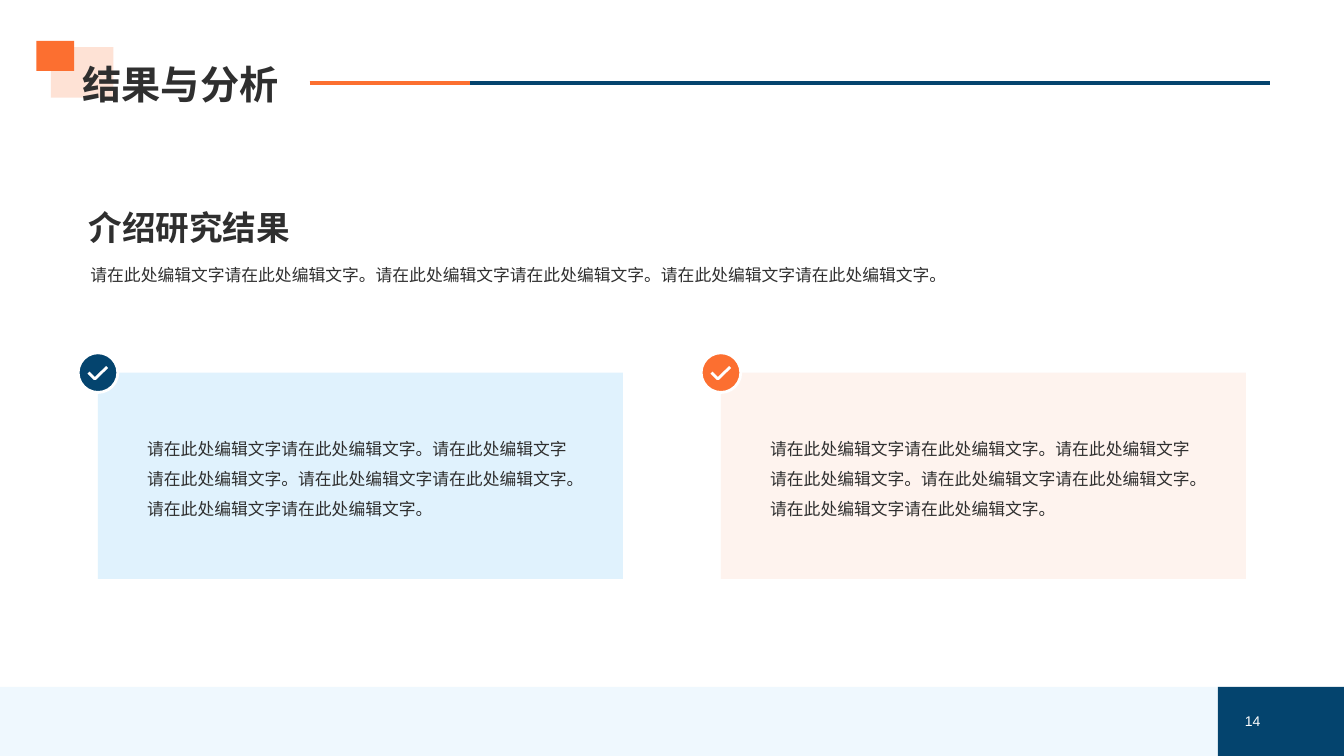
import dataclasses

import lxml.etree
import pptx
import pptx.dml.color
import pptx.enum.shapes
import pptx.enum.text
import pptx.oxml.ns
import pptx.util

Cm = pptx.util.Cm
Pt = pptx.util.Pt
qn = pptx.oxml.ns.qn
SHAPE = pptx.enum.shapes.MSO_SHAPE
ANCHOR = pptx.enum.text.MSO_ANCHOR
ALIGN = pptx.enum.text.PP_ALIGN


@dataclasses.dataclass(frozen=True)
class Theme:
    font: str = "Arial"
    ink: str = "2F2F2F"
    white: str = "FFFFFF"
    navy: str = "04446E"
    orange: str = "FC6F30"
    sky: str = "B3DFFC"
    peach: str = "FEE2D6"
    title: int = 28
    heading: int = 24
    body: int = 12
    number: int = 10
    rule: int = 3
    outline: int = 2


@dataclasses.dataclass(frozen=True)
class Box:
    left: float
    top: float
    width: float
    height: float

    def inner(self, left, top, width, height):
        return Box(self.left + left, self.top + top, width, height)

    def lengths(self):
        return Cm(self.left), Cm(self.top), Cm(self.width), Cm(self.height)


THEME = Theme()
PAGE = Box(0, 0, 33.87, 19.05)
SENTENCE = "请在此处编辑文字请在此处编辑文字。"


def rgb(color):
    return pptx.dml.color.RGBColor.from_string(color)


def add_block(page, box, color, opacity=100, kind=SHAPE.RECTANGLE):
    block = page.shapes.add_shape(kind, *box.lengths())
    block.shadow.inherit = False
    block.fill.solid()
    block.fill.fore_color.rgb = rgb(color)
    block.line.fill.background()
    if opacity < 100:
        tint = block.fill._xPr.find(qn("a:solidFill"))[0]
        lxml.etree.SubElement(tint, qn("a:alpha")).set("val", str(opacity * 1000))
    return block


def add_rule(page, left, right, height, color):
    rule = page.shapes.add_connector(
        pptx.enum.shapes.MSO_CONNECTOR.STRAIGHT,
        Cm(left), Cm(height), Cm(right), Cm(height),
    )
    rule.line.color.rgb = rgb(color)
    rule.line.width = Pt(THEME.rule)
    lxml.etree.SubElement(rule._element.spPr, qn("a:effectLst"))


def format_text(frame, text, size, color=THEME.ink, bold=False, spacing=1.0,
                anchor=ANCHOR.MIDDLE, align=ALIGN.LEFT):
    frame.text = text
    frame.word_wrap = True
    frame.vertical_anchor = anchor
    for para in frame.paragraphs:
        para.alignment = align
        para.line_spacing = spacing
        for span in para.runs:
            span.font.name = THEME.font
            span.font.size = Pt(size)
            span.font.bold = bold
            span.font.color.rgb = rgb(color)
            east = lxml.etree.SubElement(span.font._element, qn("a:ea"))
            east.set("typeface", THEME.font)


def add_text(page, box, text, size, inset=None, **style):
    frame = page.shapes.add_textbox(*box.lengths()).text_frame
    format_text(frame, text, size, **style)
    if inset is not None:
        frame.margin_left = frame.margin_right = Cm(inset)
        frame.margin_top = frame.margin_bottom = Cm(inset)


def build_header(page, box, text):
    add_block(page, box.inner(1.28, 1.19, 1.58, 1.27), THEME.orange, 20)
    add_rule(page, box.left + 11.85, box.left + 32, box.top + 2.09, THEME.navy)
    add_rule(page, box.left + 7.8, box.left + 11.85, box.top + 2.09, THEME.orange)
    add_block(page, box.inner(0.92, 1.03, 0.95, 0.76), THEME.orange)
    title = page.shapes.title
    title.left, title.top, title.width, title.height = box.inner(1.83, 0, 30.18, 2.84).lengths()
    format_text(title.text_frame, text, THEME.title, bold=True, spacing=0.9,
                anchor=ANCHOR.BOTTOM)
    page.shapes._spTree.append(title._element)


def build_footer(page, box, number):
    corner = 3.18
    band = box.width - corner
    add_block(page, box.inner(0, 0, band, box.height), THEME.sky, 20)
    add_block(page, box.inner(band, 0, corner, box.height), THEME.navy)
    add_text(page, box.inner(24.61, 0.55, 7.4, 0.6), number, THEME.number,
             color=THEME.white, align=ALIGN.RIGHT)


def build_intro(page, box, heading, text):
    add_text(page, box.inner(0, 0, 12.34, 1.28), heading, THEME.heading, bold=True)
    add_text(page, box.inner(0, 1.17, box.width, 1.22), text, THEME.body,
             inset=0.3, spacing=1.3, anchor=ANCHOR.BOTTOM)


def build_badge(page, box, color):
    badge = add_block(page, box, color, kind=SHAPE.OVAL)
    badge.line.color.rgb = rgb(THEME.white)
    badge.line.width = Pt(THEME.outline)
    points = [
        (Cm(box.left + across * box.width), Cm(box.top + down * box.height))
        for across, down in ((0.73, 0.36), (0.42, 0.66), (0.26, 0.5))
    ]
    builder = page.shapes.build_freeform(*points[0])
    builder.add_line_segments(points[1:], close=False)
    tick = builder.convert_to_shape()
    tick.shadow.inherit = False
    tick.fill.background()
    tick.line.color.rgb = rgb(THEME.white)
    tick.line.width = Pt(THEME.outline)


def build_card(page, box, text, tint, accent):
    size = 1
    add_block(page, box, tint, 40)
    build_badge(page, box.inner(-size / 2, -size / 2, size, size), accent)
    add_text(page, box.inner(0.94, 1.17, 11.38, 2.82), text, THEME.body,
             inset=0.3, spacing=1.5, anchor=ANCHOR.BOTTOM)


def main():
    deck = pptx.Presentation()
    deck.slide_width, deck.slide_height = Cm(PAGE.width), Cm(PAGE.height)
    page = deck.slides.add_slide(deck.slide_layouts[5])
    build_header(page, PAGE.inner(0, 0, PAGE.width, 2.84), "结果与分析")
    build_footer(page, PAGE.inner(0, 17.31, PAGE.width, 1.74), "14")
    build_intro(page, PAGE.inner(1.98, 5.08, 29.41, 2.39), "介绍研究结果", SENTENCE * 3)
    accents = ((THEME.sky, THEME.navy), (THEME.peach, THEME.orange))
    for column, (tint, accent) in enumerate(accents):
        box = PAGE.inner(2.47 + column * 15.7, 9.39, 13.23, 5.2)
        build_card(page, box, SENTENCE * 4, tint, accent)
    deck.save("out.pptx")


if __name__ == "__main__":
    main()
